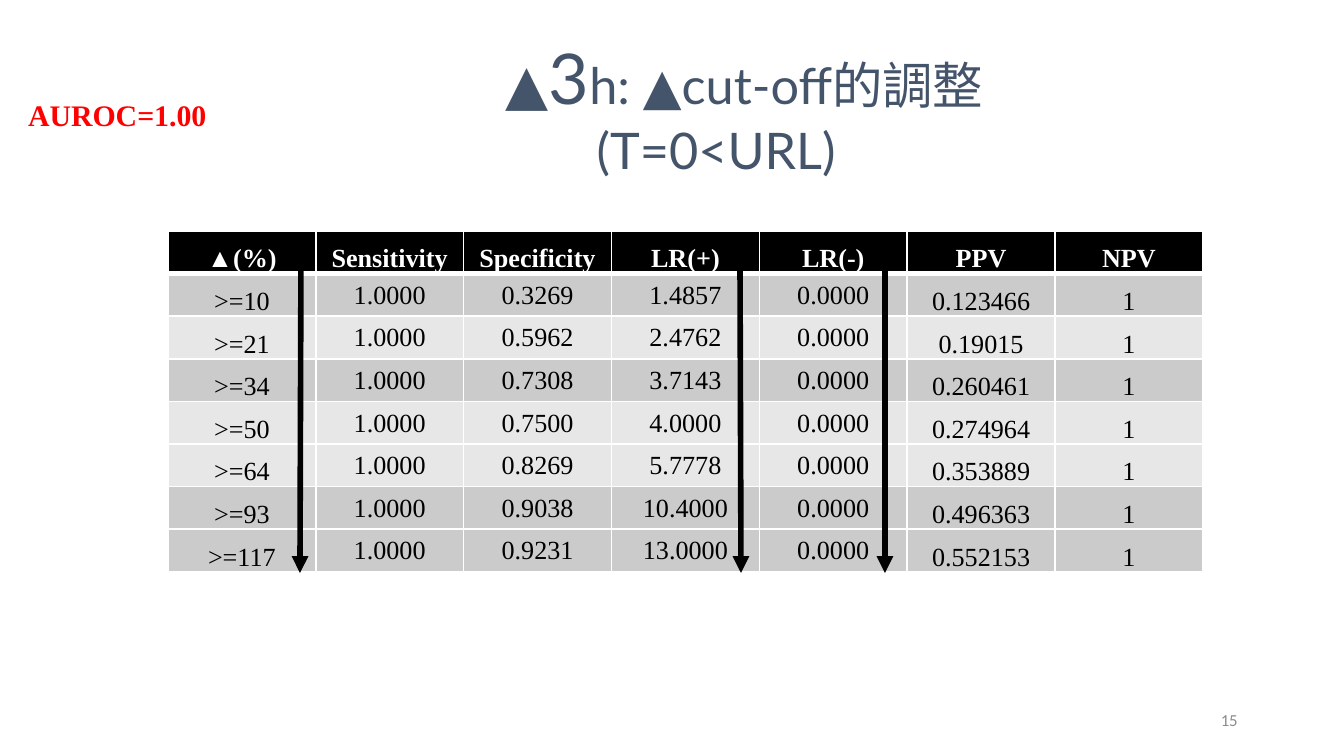
from lxml.etree import SubElement
from pptx import Presentation
from pptx.dml.color import RGBColor
from pptx.enum.shapes import MSO_CONNECTOR as Connector
from pptx.enum.text import MSO_ANCHOR as Anchor, PP_ALIGN as Align
from pptx.oxml.ns import qn
from pptx.util import Pt

COLORS = {
    "title": "44546A", "alert": "FF0000", "page": "8C8C8C",
    "black": "000000", "white": "FFFFFF", "dark": "CBCBCB", "light": "E7E7E7",
}
SERIF = "Times New Roman"

TITLE = [
    [("▲", 30), ("3", 37.5), ("h: ▲cut-off的調整", 27)],
    [("(T=0<URL)", 27)],
]
TITLE_INDENT = 57
AUROC = "AUROC=1.00"
PAGE = "15"

HEADER = ["▲(%)", "Sensitivity", "Specificity", "LR(+)", "LR(-)", "PPV", "NPV"]
CUTOFFS = [
    (">=10", "1.0000", "0.3269", "1.4857", "0.0000", "0.123466", "1"),
    (">=21", "1.0000", "0.5962", "2.4762", "0.0000", "0.19015", "1"),
    (">=34", "1.0000", "0.7308", "3.7143", "0.0000", "0.260461", "1"),
    (">=50", "1.0000", "0.7500", "4.0000", "0.0000", "0.274964", "1"),
    (">=64", "1.0000", "0.8269", "5.7778", "0.0000", "0.353889", "1"),
    (">=93", "1.0000", "0.9038", "10.4000", "0.0000", "0.496363", "1"),
    (">=117", "1.0000", "0.9231", "13.0000", "0.0000", "0.552153", "1"),
]
ROW_FILLS = ["black", "dark", "light", "dark", "light", "light", "dark", "dark"]
MIDDLE_COLUMNS = range(1, 5)
TABLE_BOX = (168, 231, 1035, 341)
ARROWS = [(301, 254, 300, 573), (740, 261, 741, 573), (885, 261, 885, 573)]


def px(length):
    return round(length * 914400 / 134.4)


def rgb(name):
    return RGBColor.from_string(COLORS[name])


def style(run, size, font, color, bold=False):
    run.font.size = Pt(size)
    run.font.name = font
    run.font.bold = bold
    run.font.color.rgb = rgb(color)


def add_text(slide, box, lines, font, color, align, anchor, bold=False):
    frame = slide.shapes.add_textbox(*map(px, box)).text_frame
    frame.word_wrap = True
    frame.vertical_anchor = anchor
    for number, line in enumerate(lines):
        paragraph = frame.add_paragraph() if number else frame.paragraphs[0]
        paragraph.alignment = align
        for words, size in line:
            run = paragraph.add_run()
            run.text = words
            style(run, size, font, color, bold)
    return frame


def add_borders(cell, widths):
    properties = cell._tc.get_or_add_tcPr()
    for position, (side, width) in enumerate(widths.items()):
        border = properties.makeelement(qn(f"a:{side}"), {"w": str(Pt(width))})
        fill = SubElement(border, qn("a:solidFill"))
        SubElement(fill, qn("a:srgbClr"), val=COLORS["white"])
        properties.insert(position, border)


def fill_cell(cell, words, row, column):
    is_header = row == 0
    cell.text_frame.text = words
    cell.margin_left = cell.margin_right = cell.margin_top = px(1)
    cell.margin_bottom = 0
    is_middle = not is_header and column in MIDDLE_COLUMNS
    cell.vertical_anchor = Anchor.MIDDLE if is_middle else Anchor.BOTTOM
    cell.fill.solid()
    cell.fill.fore_color.rgb = rgb(ROW_FILLS[row])
    paragraph = cell.text_frame.paragraphs[0]
    paragraph.alignment = Align.CENTER
    style(paragraph.runs[0], 14, SERIF, "white" if is_header else "black", is_header)
    add_borders(cell, {"lnL": 1, "lnR": 1, "lnT": 3 if row == 1 else 1, "lnB": 3 if is_header else 1})


def add_cutoff_table(slide):
    records = [HEADER, *CUTOFFS]
    left, top, width, height = TABLE_BOX
    table = slide.shapes.add_table(len(records), len(HEADER), *map(px, TABLE_BOX)).table
    for column in table.columns:
        column.width = px(width / len(HEADER))
    for row, record in enumerate(records):
        table.rows[row].height = px(height / len(records))
        for column, words in enumerate(record):
            fill_cell(table.cell(row, column), words, row, column)


def add_arrow(slide, ends):
    arrow = slide.shapes.add_connector(Connector.STRAIGHT, *map(px, ends))
    arrow.line.color.rgb = rgb("black")
    arrow.line.width = Pt(3)
    SubElement(arrow.line._get_or_add_ln(), qn("a:tailEnd"), type="triangle")
    SubElement(arrow._element.spPr, qn("a:effectLst"))


def main():
    deck = Presentation()
    deck.slide_width, deck.slide_height = px(1344), px(756)
    slide = deck.slides.add_slide(deck.slide_layouts[6])
    add_text(slide, (949, 700, 302, 40), [[(PAGE, 9)]], "Calibri", "page", Align.RIGHT, Anchor.MIDDLE)
    add_cutoff_table(slide)
    for ends in ARROWS:
        add_arrow(slide, ends)
    title = add_text(slide, (259, 34, 914, 146), TITLE, "Lato", "title", Align.CENTER, Anchor.MIDDLE)
    title.paragraphs[0]._p.get_or_add_pPr().set("marL", str(px(TITLE_INDENT)))
    add_text(slide, (15, 90, 220, 50), [[(AUROC, 16)]], SERIF, "alert", Align.LEFT, Anchor.TOP, True)
    deck.save("out.pptx")


if __name__ == "__main__":
    main()
